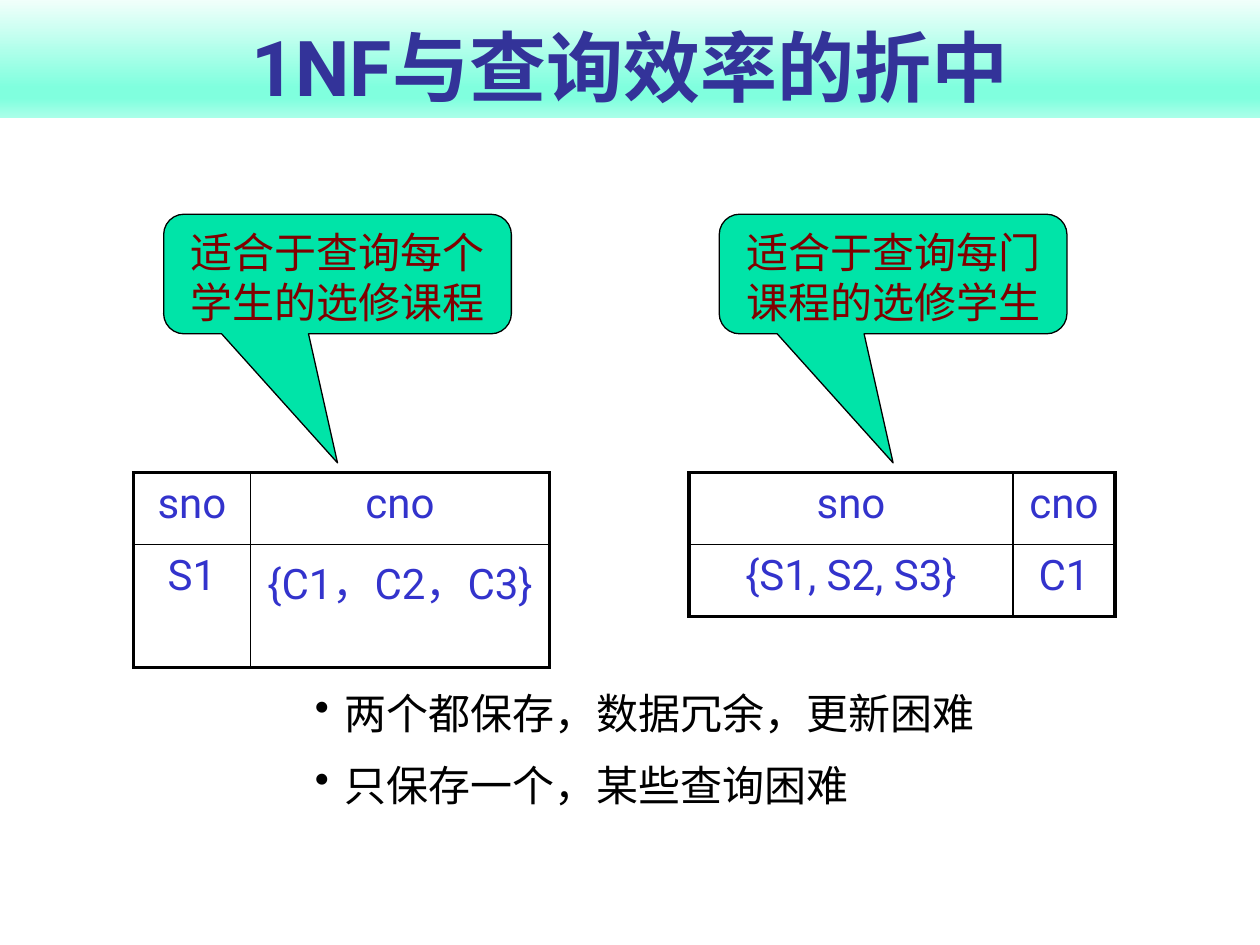
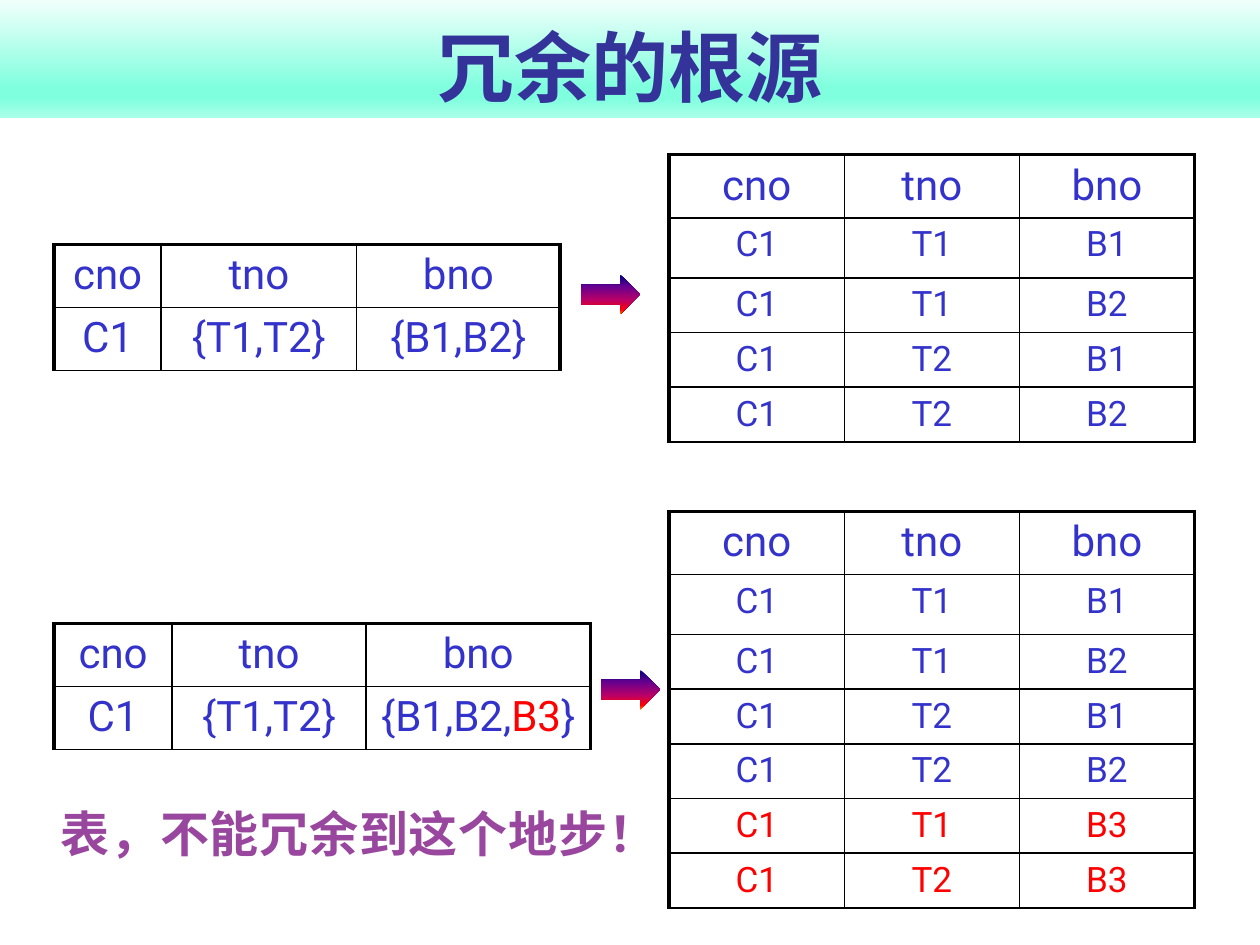
from dataclasses import dataclass, replace

from lxml import etree
from pptx import Presentation
from pptx import util as u
from pptx.dml.color import RGBColor
from pptx.enum import shapes, text
from pptx.oxml.ns import qn

# Colours and fonts
BLACK = RGBColor(0x00, 0x00, 0x00)
TITLE_BLUE = RGBColor(0x33, 0x33, 0x99)
CELL_BLUE = RGBColor(0x33, 0x33, 0xCC)
RED = RGBColor(0xFF, 0x00, 0x00)
MAROON = RGBColor(0x80, 0x00, 0x00)
PURPLE = RGBColor(0x98, 0x46, 0x9E)
MINT = RGBColor(0x00, 0xE4, 0xA8)
BAND_STOPS = (
    (0, RGBColor(0xF1, 0xFF, 0xFB)),
    (74, RGBColor(0x80, 0xFF, 0xDE)),
    (83, RGBColor(0x80, 0xFF, 0xDE)),
    (100, RGBColor(0xAA, 0xFF, 0xE9)),
)
ARROW_STOPS = (
    (0, RGBColor(0x00, 0x00, 0x82)),
    (30, RGBColor(0x66, 0x00, 0x8F)),
    (65, RGBColor(0xBA, 0x00, 0x66)),
    (90, RED),
    (100, RGBColor(0xFF, 0x82, 0x00)),
)
LATIN, CHINESE = "Roboto", "Noto Sans CJK SC"

SLIDE_WIDTH, SLIDE_HEIGHT = u.Cm(25.4), u.Cm(19.05)
THICK, THIN = u.Pt(2.25), u.Pt(1)
HEADER_HEIGHT = 1.25
CENTER = text.PP_ALIGN.CENTER


@dataclass(frozen=True)
class Style:
    size: float
    color: RGBColor
    bold: bool = False
    latin: str = LATIN
    east_asian: str = LATIN
    spacing: int = 0  # hundredths of a point


TITLE = Style(44, TITLE_BLUE, bold=True)
CALLOUT = Style(24, MAROON)
BULLET = Style(24, BLACK)
CAPTION = Style(28, PURPLE, True, CHINESE, CHINESE, 50)
HEADER = Style(24, CELL_BLUE, east_asian=CHINESE)
HEADER_RED = replace(HEADER, color=RED)
BODY = replace(HEADER, size=20)
BODY_RED = replace(BODY, color=RED)


@dataclass(frozen=True)
class Run:
    text: str
    style: Style


@dataclass(frozen=True)
class Row:
    cells: tuple[str | tuple[Run, ...], ...]
    height: float = HEADER_HEIGHT
    style: Style = HEADER


@dataclass(frozen=True)
class Relation:
    left: float
    top: float
    columns: tuple[float, ...]
    rows: tuple[Row, ...]
    thick_bottom: bool = False


@dataclass(frozen=True)
class Callout:
    left: float
    text: str


def add_run(paragraph, content: str, style: Style) -> None:
    run = paragraph.add_run()
    run.text = content
    font = run.font
    font.size, font.bold, font.name = u.Pt(style.size), style.bold, style.latin
    font.color.rgb = style.color
    properties = run._r.get_or_add_rPr()
    etree.SubElement(properties, qn("a:ea"), typeface=style.east_asian)
    if style.spacing:
        properties.set("spc", str(style.spacing))


def fill_gradient(shape, stops: tuple[tuple[int, RGBColor], ...]) -> None:
    """Fill from top to bottom with any number of stops."""
    shape.fill.gradient()
    shape.fill.gradient_angle = 270
    stop_list = next(shape._element.spPr.iter(qn("a:gsLst")))
    for stop in list(stop_list):
        stop_list.remove(stop)
    for percent, color in stops:
        stop = etree.SubElement(stop_list, qn("a:gs"), pos=str(percent * 1000))
        etree.SubElement(stop, qn("a:srgbClr"), val=str(color))


def add_plain_shape(slide, kind, left, top, width, height):
    shape = slide.shapes.add_shape(kind, left, top, width, height)
    shape.shadow.inherit = False
    shape.line.fill.background()
    shape.text_frame.word_wrap = True
    return shape


def add_titled_slide(presentation, title: str):
    slide = presentation.slides.add_slide(presentation.slide_layouts[6])
    band = add_plain_shape(
        slide, shapes.MSO_SHAPE.RECTANGLE, 0, 0, SLIDE_WIDTH, u.Cm(2.38)
    )
    fill_gradient(band, BAND_STOPS)
    band.text_frame.vertical_anchor = text.MSO_ANCHOR.BOTTOM
    paragraph = band.text_frame.paragraphs[0]
    paragraph.alignment = CENTER
    add_run(paragraph, title, TITLE)
    return slide


def add_border(cell, side: str, width: int) -> None:
    line = etree.SubElement(
        cell._tc.get_or_add_tcPr(), qn(f"a:ln{side}"), w=str(int(width))
    )
    solid = etree.SubElement(line, qn("a:solidFill"))
    etree.SubElement(solid, qn("a:srgbClr"), val=str(BLACK))


def add_relation(slide, relation: Relation) -> None:
    row_count, column_count = len(relation.rows), len(relation.columns)
    table = slide.shapes.add_table(
        row_count, column_count, u.Cm(relation.left), u.Cm(relation.top),
        u.Cm(sum(relation.columns)), u.Cm(sum(row.height for row in relation.rows)),
    ).table
    table.first_row = table.horz_banding = False
    for column, width in zip(table.columns, relation.columns):
        column.width = u.Cm(width)
    for i, row in enumerate(relation.rows):
        table.rows[i].height = u.Cm(row.height)
        for j, content in enumerate(row.cells):
            cell = table.cell(i, j)
            outer_edges = {
                "L": j == 0,
                "R": j == column_count - 1,
                "T": i == 0,
                "B": relation.thick_bottom and i == row_count - 1,
            }
            for side, outer in outer_edges.items():
                add_border(cell, side, THICK if outer else THIN)
            cell.fill.background()
            paragraph = cell.text_frame.paragraphs[0]
            paragraph.alignment = CENTER
            runs = (Run(content, row.style),) if isinstance(content, str) else content
            for run in runs:
                add_run(paragraph, run.text, run.style)


def add_callout(slide, callout: Callout) -> None:
    shape = add_plain_shape(
        slide, shapes.MSO_SHAPE.ROUNDED_RECTANGULAR_CALLOUT,
        u.Cm(callout.left), u.Cm(4.32), u.Cm(7.01), u.Cm(2.41),
    )
    for index, value in enumerate((0, 1.58, 0.17)):
        shape.adjustments[index] = value
    shape.fill.solid()
    shape.fill.fore_color.rgb = MINT
    shape.line.color.rgb = BLACK
    shape.line.width = u.Pt(0.75)
    shape.text_frame.vertical_anchor = text.MSO_ANCHOR.TOP
    paragraph = shape.text_frame.paragraphs[0]
    paragraph.alignment = CENTER
    add_run(paragraph, callout.text, CALLOUT)


def add_bullets(slide, lines: tuple[str, ...]) -> None:
    box = slide.shapes.add_textbox(u.Cm(6.1), u.Cm(13.74), u.Cm(14), u.Cm(2.79))
    frame = box.text_frame
    frame.word_wrap = True
    for index, line in enumerate(lines):
        paragraph = frame.add_paragraph() if index else frame.paragraphs[0]
        properties = paragraph._p.get_or_add_pPr()
        indent = int(u.Cm(0.6))
        properties.set("marL", str(indent))
        properties.set("indent", str(-indent))
        etree.SubElement(properties, qn("a:buChar"), char="•")
        if index:
            paragraph.space_before = u.Pt(12)
        add_run(paragraph, line, BULLET)


def add_arrow(slide, left: float, top: float) -> None:
    arrow = add_plain_shape(
        slide, shapes.MSO_SHAPE.RIGHT_ARROW,
        u.Cm(left), u.Cm(top), u.Cm(1.19), u.Cm(0.79),
    )
    fill_gradient(arrow, ARROW_STOPS)


def add_caption(slide, content: str) -> None:
    box = slide.shapes.add_textbox(u.Cm(0.89), u.Cm(16.08), u.Cm(12.7), u.Cm(1.45))
    box.text_frame.word_wrap = False
    paragraph = box.text_frame.paragraphs[0]
    paragraph.alignment = CENTER
    add_run(paragraph, content, CAPTION)


def build_tradeoff(presentation) -> None:
    slide = add_titled_slide(presentation, "1NF与查询效率的折中")
    header = Row(("sno", "cno"), 1.45)
    by_student = Row(("S1", "{C1，C2，C3}"), 1.45)
    by_course = Row(("{S1, S2, S3}", "C1"), 1.45)
    add_relation(slide, Relation(2.69, 9.53, (2.36, 6.03), (header, by_student), True))
    add_relation(slide, Relation(13.89, 9.53, (6.53, 2.06), (header, by_course), True))
    add_callout(slide, Callout(3.3, "适合于查询每个学生的选修课程"))
    add_callout(slide, Callout(14.5, "适合于查询每门课程的选修学生"))
    add_bullets(slide, ("两个都保存，数据冗余，更新困难", "只保存一个，某些查询困难"))


def build_redundancy(presentation) -> None:
    slide = add_titled_slide(presentation, "冗余的根源")
    header = Row(("cno", "tno", "bno"))

    # Nested relations on the left
    nested = Row(("C1", "{T1,T2}", "{B1,B2}"))
    extended_books = (Run("{B1,B2,", HEADER), Run("B3", HEADER_RED), Run("}", HEADER))
    extended = Row(("C1", "{T1,T2}", extended_books))
    add_relation(slide, Relation(1.09, 4.93, (2.16, 3.94, 4.1), (header, nested)))
    add_relation(slide, Relation(1.09, 12.57, (2.38, 3.91, 4.52), (header, extended)))

    # Flattened relations on the right
    flat = (header,) + tuple(
        Row(("C1", teacher, book), 1.21 if (teacher, book) == ("T1", "B1") else 1.09, BODY)
        for teacher in ("T1", "T2")
        for book in ("B1", "B2")
    )
    added = tuple(Row(("C1", teacher, "B3"), 1.09, BODY_RED) for teacher in ("T1", "T2"))
    add_relation(slide, Relation(13.49, 3.12, (3.53,) * 3, flat))
    add_relation(slide, Relation(13.49, 10.31, (3.53,) * 3, flat + added))

    add_caption(slide, "表，不能冗余到这个地步！")
    add_arrow(slide, 11.71, 5.54)
    add_arrow(slide, 12.12, 13.51)


def main() -> None:
    presentation = Presentation()
    presentation.slide_width, presentation.slide_height = SLIDE_WIDTH, SLIDE_HEIGHT
    build_tradeoff(presentation)
    build_redundancy(presentation)
    presentation.save("out.pptx")


if __name__ == "__main__":
    main()
